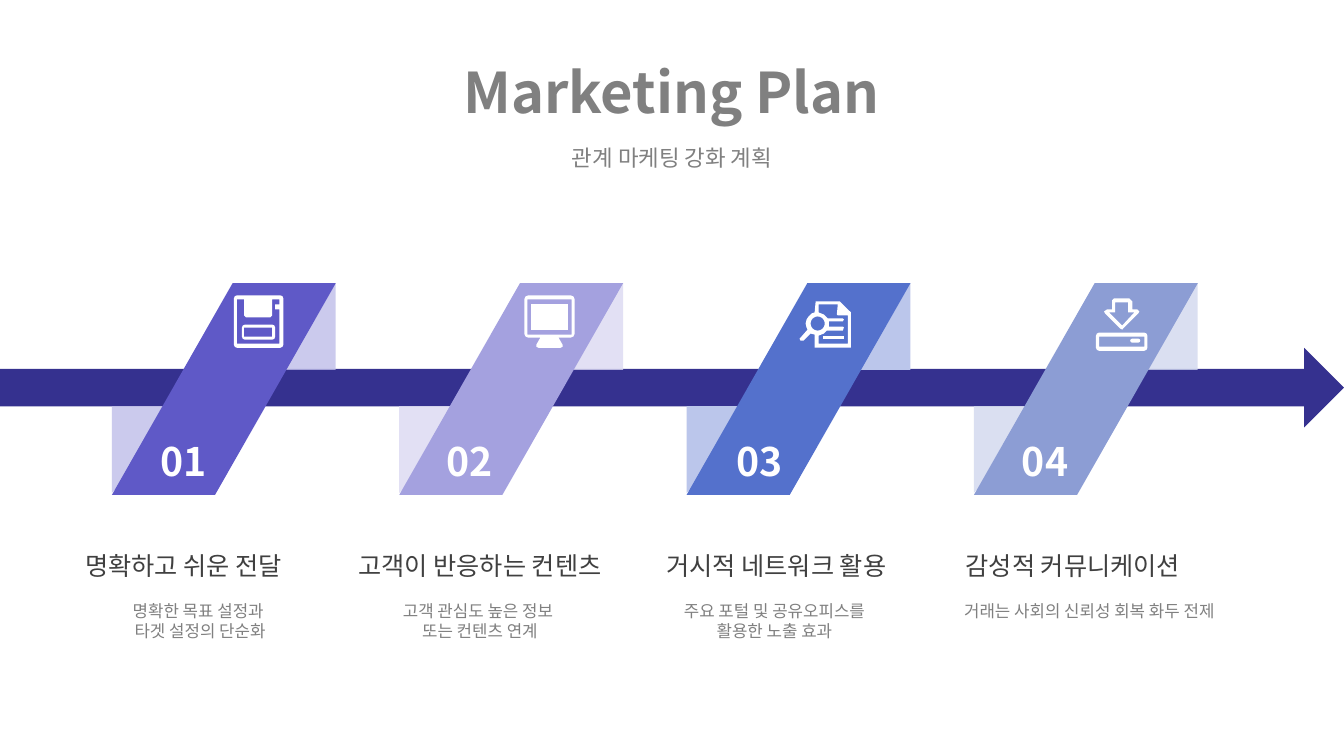
from math import cos, sin, tau

from lxml.etree import SubElement
from pptx import Presentation
from pptx.dml.color import RGBColor
from pptx.enum.shapes import MSO_SHAPE
from pptx.enum.text import MSO_ANCHOR, MSO_AUTO_SIZE, PP_ALIGN
from pptx.oxml.ns import qn
from pptx.util import Inches, Pt

FONT = "Noto Sans CJK KR"
WHITE, GRAY, DARK = "FFFFFF", "808080", "404040"

STEPS = [
    ("01", 1.35, "5F59C7", "BFBDE9", 80, "명확하고 쉬운 전달",
     "명확한 목표 설정과 \n타겟 설정의 단순화", 3.05),
    ("02", 4.18, "A4A1DF", "DBD9F2", 80, "고객이 반응하는 컨텐츠",
     "고객 관심도 높은 정보 \n또는 컨텐츠 연계", 2.72),
    ("03", 7.06, "5471CC", "BBC6EB", 100, "거시적 네트워크 활용",
     "주요 포털 및 공유오피스를 \n활용한 노출 효과 ", 2.72),
    ("04", 9.89, "8C9DD4", "D1D8EE", 80, "감성적 커뮤니케이션",
     "거래는 사회의 신뢰성 회복 화두 전제", 3.05),
]


def color(code):
    return RGBColor.from_string(code)


def paint(shape, code, alpha=100):
    shape.shadow.inherit = False
    shape.line.fill.background()
    shape.fill.solid()
    shape.fill.fore_color.rgb = color(code)
    if alpha < 100:
        tint = shape.element.spPr.find(qn("a:solidFill"))[0]
        SubElement(tint, qn("a:alpha")).set("val", str(alpha * 1000))


def place(shape, *frame):
    shape.left, shape.top, shape.width, shape.height = map(Inches, frame)


def add_form(slide, kind, frame, code, alpha=100, adjust=(), flip=None):
    shape = slide.shapes.add_shape(kind, *map(Inches, frame))
    for i, value in enumerate(adjust):
        shape.adjustments[i] = value
    if flip:
        shape.element.spPr.xfrm.set(flip, "1")
    paint(shape, code, alpha)


def write(shape, text, size, code, bold=False, gap=1.25):
    frame = shape.text_frame
    frame.word_wrap = True
    frame.auto_size = MSO_AUTO_SIZE.NONE
    frame.text = text
    for line in frame.paragraphs:
        line.alignment = PP_ALIGN.CENTER
        line.line_spacing = Pt(size * gap)
        for run in line.runs:
            font = run.font
            font.size, font.bold, font.name = Pt(size), bold, FONT
            font.color.rgb = color(code)
            SubElement(run.font._element, qn("a:ea")).set("typeface", FONT)


def add_text(slide, frame, text, size, code, **style):
    write(slide.shapes.add_textbox(*map(Inches, frame)), text, size, code, **style)


def box(x, y, w, h, cut=0):
    r, b = x + w, y + h
    if not cut:
        return [(x, y), (r, y), (r, b), (x, b)]
    near = cut * 0.3
    corners = [(x, y, 1, 1), (r, y, -1, 1), (r, b, -1, -1), (x, b, 1, -1)]
    points = []
    for i, (px, py, dx, dy) in enumerate(corners):
        bend = [(px, py + dy * cut), (px + dx * near, py + dy * near),
                (px + dx * cut, py)]
        points += bend if i % 2 == 0 else bend[::-1]
    return points


def ring(x, y, r, count=24):
    return [(x + r * cos(tau * i / count), y + r * sin(tau * i / count))
            for i in range(count)]


def trace(slide, *loops):
    loops = [[(Inches(x), Inches(y)) for x, y in loop] for loop in loops]
    pen = slide.shapes.build_freeform(*loops[0][0], scale=1.0)
    for i, loop in enumerate(loops):
        if i:
            pen.move_to(*loop[0])
        pen.add_line_segments(loop[1:], close=True)
    paint(pen.convert_to_shape(), WHITE)


def draw_disk(slide):
    trace(slide, box(2.32, 2.93, 0.49, 0.52, 0.03),
          [(2.77, 3.07), (2.77, 3.41), (2.35, 3.41), (2.35, 2.97), (2.42, 2.97),
           (2.42, 3.13), (2.44, 3.15), (2.68, 3.15), (2.7, 3.13), (2.7, 2.97),
           (2.77, 2.97), (2.77, 3.02), (2.73, 3.02), (2.73, 3.07)])
    trace(slide, box(2.4, 3.22, 0.33, 0.15, 0.03), box(2.42, 3.25, 0.28, 0.09))


def draw_screen(slide):
    trace(slide, box(5.27, 3.02, 0.36, 0.25))
    trace(slide, box(5.2, 2.93, 0.5, 0.42, 0.04), box(5.23, 2.97, 0.44, 0.35),
          [(5.36, 3.35), (5.54, 3.35), (5.58, 3.42), (5.58, 3.44), (5.56, 3.45),
           (5.34, 3.45), (5.32, 3.44), (5.32, 3.42)])


def draw_search(slide):
    trace(slide, box(8.16, 3.33, 0.21, 0.035))
    trace(slide,
          [(7.97, 3.38), (8.04, 3.31), (8.08, 3.32), (8.08, 3.45), (8.44, 3.45),
           (8.44, 3.1), (8.33, 2.99), (8.09, 2.99), (8.08, 3.1), (8.05, 3.11),
           (8.02, 3.14), (8, 3.17), (7.99, 3.21), (8, 3.25), (8.01, 3.27),
           (7.94, 3.35), (7.93, 3.36), (7.94, 3.38), (7.96, 3.38)],
          [(8.12, 3.02), (8.31, 3.02), (8.3, 3.12), (8.31, 3.13), (8.41, 3.13),
           (8.41, 3.41), (8.12, 3.41), (8.12, 3.33), (8.17, 3.31), (8.2, 3.28),
           (8.36, 3.28), (8.37, 3.25), (8.36, 3.24), (8.22, 3.24), (8.22, 3.19),
           (8.36, 3.19), (8.37, 3.17), (8.36, 3.16), (8.21, 3.16), (8.17, 3.12),
           (8.12, 3.1)],
          ring(8.11, 3.21, 0.07))


def draw_load(slide):
    trace(slide,
          [(11.05, 2.96), (11.2, 2.96), (11.23, 2.99), (11.23, 3.07),
           (11.28, 3.07), (11.3, 3.09), (11.29, 3.11), (11.14, 3.26),
           (11.13, 3.27), (11.11, 3.26), (10.96, 3.11), (10.95, 3.09),
           (10.98, 3.07), (11.03, 3.07), (11.03, 2.98)],
          [(11.25, 3.1), (11.13, 3.23), (11, 3.1), (11.06, 3.1),
           (11.06, 3), (11.19, 3), (11.19, 3.1)])
    trace(slide, box(10.87, 3.3, 0.51, 0.18, 0.03), box(10.9, 3.34, 0.45, 0.1))
    trace(slide, box(11.21, 3.36, 0.1, 0.04, 0.02))


def add_band(slide, x, fill, fold, alpha):
    corner = MSO_SHAPE.RIGHT_TRIANGLE
    add_form(slide, corner, (x + 1.36, 2.81, 0.86, 0.86), fold, alpha, flip="flipH")
    add_form(slide, corner, (x, 4.03, 0.86, 0.86), fold, alpha, flip="flipV")
    add_form(slide, MSO_SHAPE.PARALLELOGRAM, (x, 2.81, 2.22, 2.1), fill,
             adjust=[0.57])


def main():
    deck = Presentation()
    deck.slide_width, deck.slide_height = Inches(13.33), Inches(7.5)
    slide = deck.slides.add_slide(deck.slide_layouts[5])
    title = slide.shapes.title
    place(title, 0.88, 0.36, 11.56, 1)
    write(title, "Marketing Plan", 40, GRAY, bold=True, gap=1.35)
    title.text_frame.vertical_anchor = MSO_ANCHOR.MIDDLE
    add_text(slide, (0.88, 1.37, 11.57, 0.41), "관계 마케팅 강화 계획", 16, GRAY)
    add_form(slide, MSO_SHAPE.RIGHT_ARROW, (0, 3.45, 13.33, 0.79), "35318F",
             adjust=[0.47, 0.5])
    icons = [draw_disk, draw_screen, draw_search, draw_load]
    for i, (step, icon) in enumerate(zip(STEPS, icons)):
        number, left, fill, fold, alpha, head, note, width = step
        add_band(slide, 1.11 + 2.85 * i, fill, fold, alpha)
        add_text(slide, (left, 4.27, 0.95, 0.57), number, 28, WHITE, bold=True)
        icon(slide)
        x = 0.13 + 2.94 * i
        add_text(slide, (x, 5.4, 3.38, 0.4), head, 18, DARK)
        add_text(slide, (x + 0.33, 5.91, width, 0.5), note, 12, GRAY, gap=1.2)
    deck.save("out.pptx")


if __name__ == "__main__":
    main()
